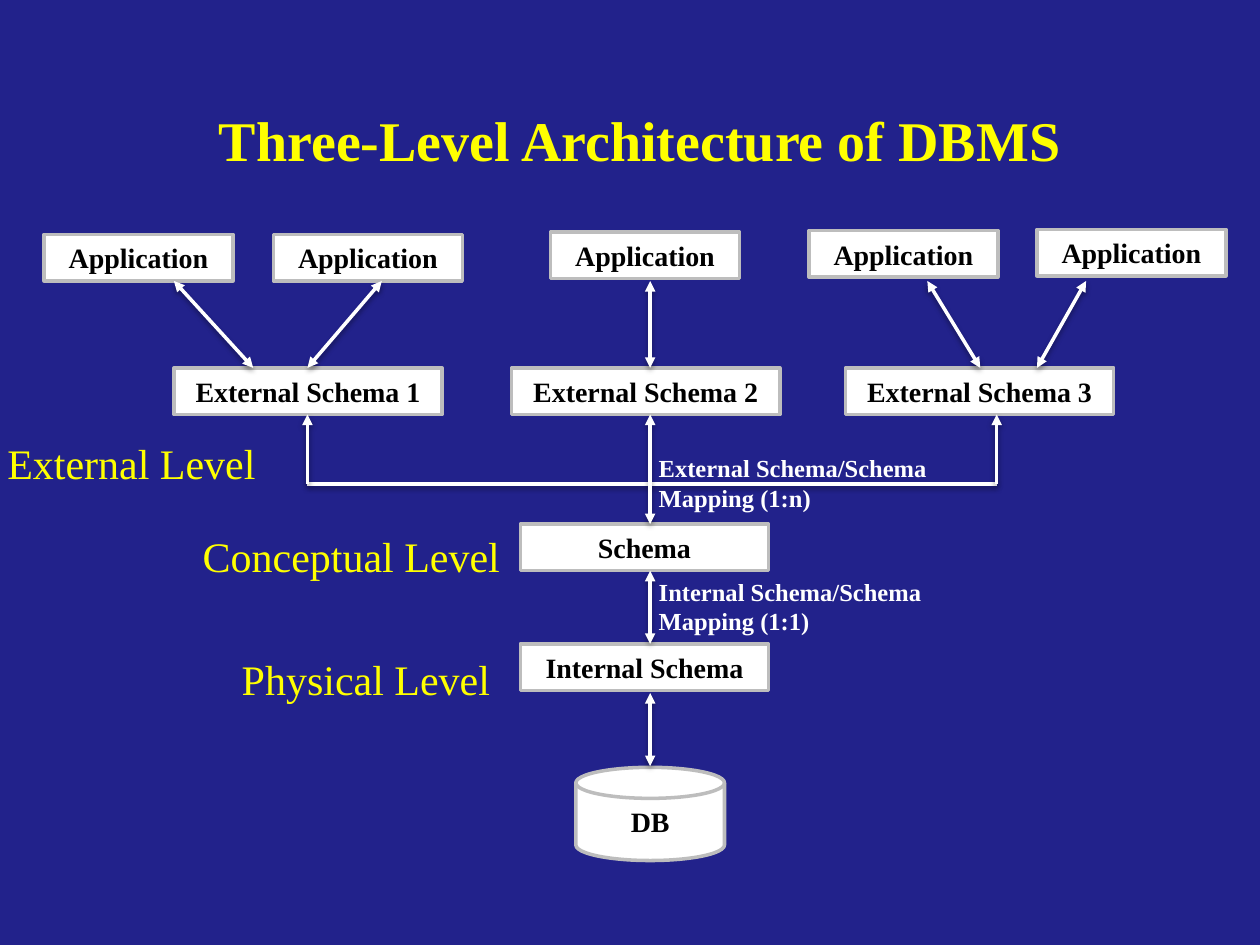
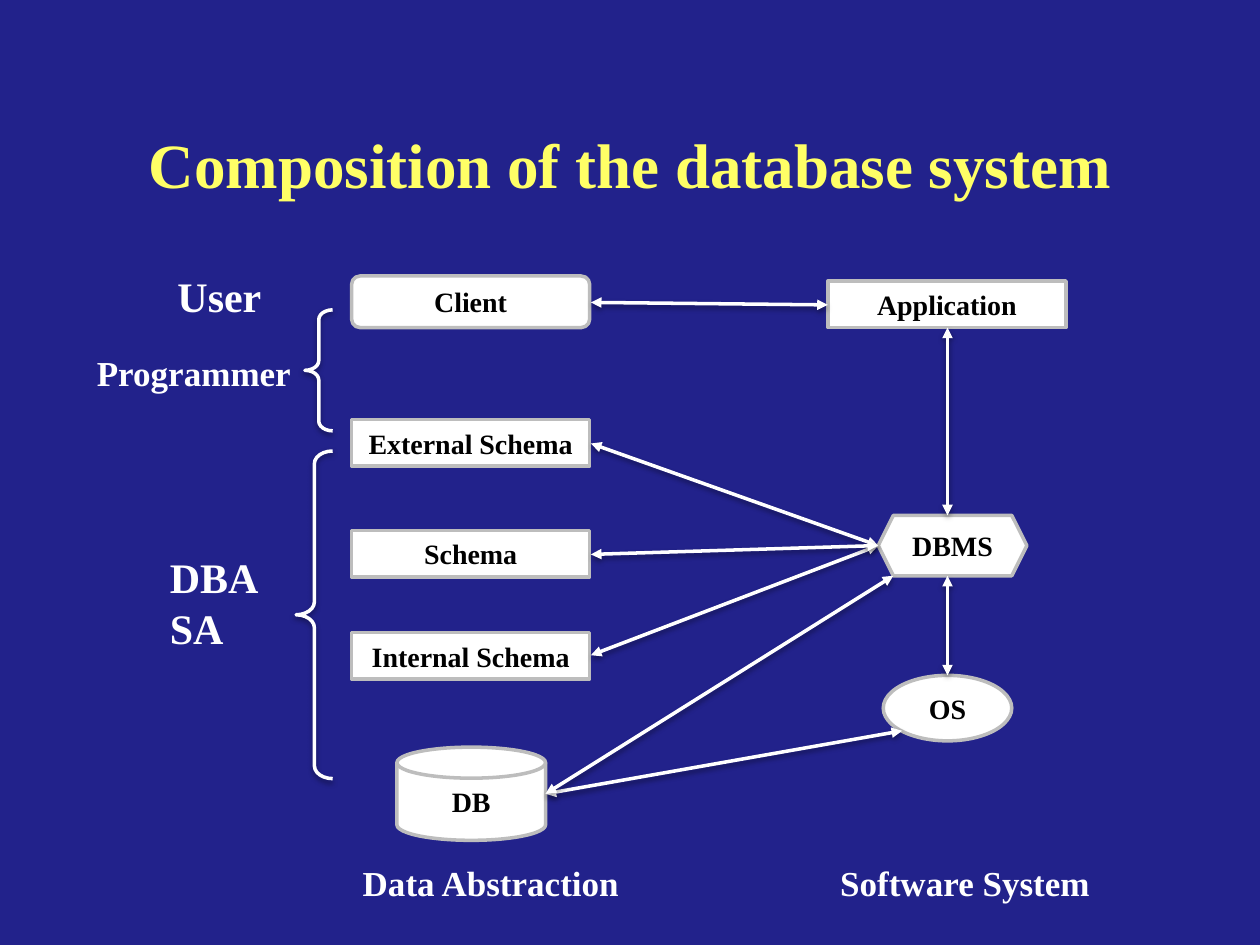
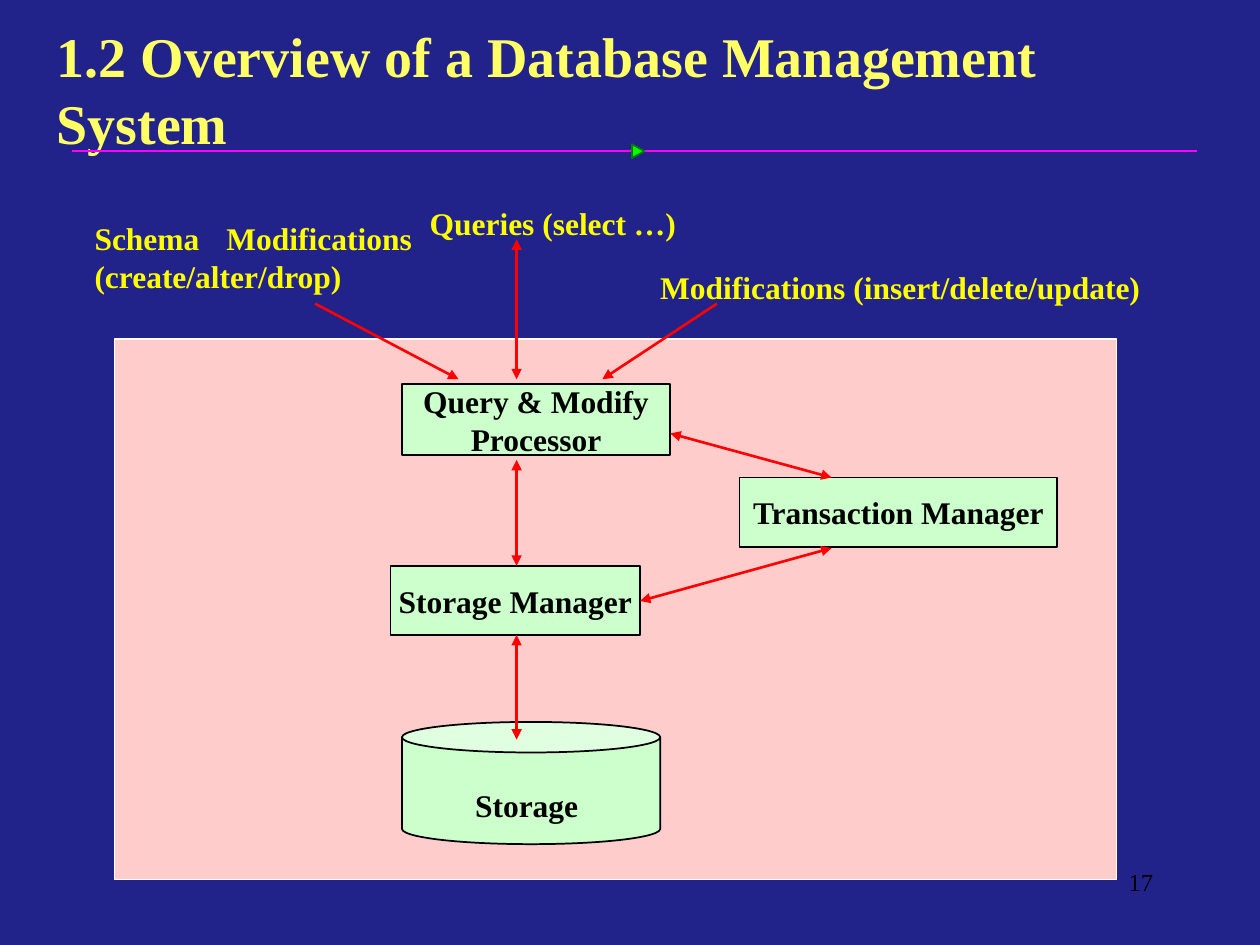
from dataclasses import dataclass, replace
from typing import Optional

from lxml.etree import SubElement
from pptx import Presentation
from pptx.dml.color import RGBColor
from pptx.enum.shapes import MSO_CONNECTOR, MSO_SHAPE
from pptx.enum.text import MSO_ANCHOR, PP_ALIGN
from pptx.oxml.ns import qn
from pptx.util import Inches, Pt

# Grid of 100 columns by 75 rows; every length below is in cells
CELL = Inches(0.1)
COLUMNS, ROWS = 100, 75
FONT = "Times New Roman"
COLORS = {
    "background": "22228B", "white": "FFFFFF", "black": "000000",
    "yellow": "FFFF00", "pale yellow": "FFFF66", "grey": "BDBDBD",
    "pink": "FFCCCC", "mint": "CCFFCC", "red": "FF0000",
    "magenta": "FF01FF", "green": "00FF00", "dark green": "037C03",
}


@dataclass(frozen=True)
class TextStyle:
    size: float
    color: str
    bold: bool = True
    align: PP_ALIGN = PP_ALIGN.LEFT
    anchor: MSO_ANCHOR = MSO_ANCHOR.TOP
    wrap: bool = False
    inset: bool = True


@dataclass(frozen=True)
class BoxStyle:
    fill: Optional[str]
    line: Optional[str]
    line_width: float
    text: Optional[TextStyle] = None
    shadow: bool = False


@dataclass(frozen=True)
class LineStyle:
    color: str
    width: float
    shadow: bool = False


@dataclass(frozen=True)
class Area:
    left: float
    top: float
    width: float
    height: float


@dataclass(frozen=True)
class Box:
    text: str
    area: Area
    kind: MSO_SHAPE = MSO_SHAPE.RECTANGLE


@dataclass(frozen=True)
class Label:
    text: str
    area: Area
    style: TextStyle


@dataclass(frozen=True)
class Arrow:
    start: tuple[float, float]
    end: tuple[float, float]
    head: bool = True
    tail: bool = True


# Shared styles
TITLE = TextStyle(32, "pale yellow", align=PP_ALIGN.CENTER, anchor=MSO_ANCHOR.MIDDLE, wrap=True)
BOX_TEXT = TextStyle(16, "black", align=PP_ALIGN.CENTER, anchor=MSO_ANCHOR.MIDDLE, wrap=True)
LEVEL = TextStyle(24, "yellow", bold=False)
MAPPING = TextStyle(14, "white")
ROLE = TextStyle(24, "white")
CAPTION = TextStyle(20, "white")
COMMAND = TextStyle(18, "yellow", align=PP_ALIGN.JUSTIFY, wrap=True, inset=False)
PAGE_NUMBER = TextStyle(14, "black", bold=False, align=PP_ALIGN.RIGHT, wrap=True)

WHITE_BOX = BoxStyle("white", "grey", 2, BOX_TEXT)
BRACE = BoxStyle(None, "white", 2, shadow=True)
MINT_BOX = BoxStyle("mint", "black", 1, replace(BOX_TEXT, size=18, wrap=False))
WHITE_LINE = LineStyle("white", 2, shadow=True)
RED_LINE = LineStyle("red", 1.5)


def color(name: str) -> RGBColor:
    return RGBColor.from_string(COLORS[name])


def cells(*counts: float) -> list[int]:
    return [round(count * CELL) for count in counts]


def bounds(area: Area) -> list[int]:
    return cells(area.left, area.top, area.width, area.height)


def write(shape, text: str, style: TextStyle) -> None:
    text_frame = shape.text_frame
    text_frame.text = text
    text_frame.word_wrap = style.wrap
    text_frame.vertical_anchor = style.anchor
    if not style.inset:
        text_frame.margin_left = text_frame.margin_right = 0
        text_frame.margin_top = text_frame.margin_bottom = 0
    for paragraph in text_frame.paragraphs:
        paragraph.alignment = style.align
        for run in paragraph.runs:
            run.font.name = FONT
            run.font.size = Pt(style.size)
            run.font.bold = style.bold
            run.font.color.rgb = color(style.color)


def set_effects(shape, shadow: bool) -> None:
    """Give the shape a soft shadow below it, or no effect at all."""
    properties = shape.element.spPr
    for effects in properties.findall(qn("a:effectLst")):
        properties.remove(effects)
    effects = SubElement(properties, qn("a:effectLst"))
    if shadow:
        outer = SubElement(effects, qn("a:outerShdw"), blurRad=str(Pt(3.1)),
                           dist=str(Pt(1.6)), dir="5400000", rotWithShape="0")
        tint = SubElement(outer, qn("a:srgbClr"), val=COLORS["black"])
        SubElement(tint, qn("a:alpha"), val="38000")


def add_label(slide, label: Label) -> None:
    write(slide.shapes.add_textbox(*bounds(label.area)), label.text, label.style)


def add_box(slide, box: Box, style: BoxStyle):
    shape = slide.shapes.add_shape(box.kind, *bounds(box.area))
    if style.fill:
        shape.fill.solid()
        shape.fill.fore_color.rgb = color(style.fill)
    else:
        shape.fill.background()
    if style.line:
        shape.line.color.rgb = color(style.line)
        shape.line.width = Pt(style.line_width)
    else:
        shape.line.fill.background()
    set_effects(shape, style.shadow)
    if box.text and style.text:
        write(shape, box.text, style.text)
    return shape


def add_arrow(slide, arrow: Arrow, style: LineStyle) -> None:
    connector = slide.shapes.add_connector(
        MSO_CONNECTOR.STRAIGHT, *cells(*arrow.start, *arrow.end))
    connector.line.color.rgb = color(style.color)
    connector.line.width = Pt(style.width)
    outline = connector.element.spPr.find(qn("a:ln"))
    for tag, shown in (("a:headEnd", arrow.head), ("a:tailEnd", arrow.tail)):
        if shown:
            SubElement(outline, qn(tag), type="triangle")
    set_effects(connector, style.shadow)


def add_slide(presentation, title: str, area: Area, style: TextStyle):
    slide = presentation.slides.add_slide(presentation.slide_layouts[6])
    slide.background.fill.solid()
    slide.background.fill.fore_color.rgb = color("background")
    add_label(slide, Label(title, area, style))
    return slide


def draw(slide, boxes: list[Box], box_style: BoxStyle, arrows: list[Arrow],
         line_style: LineStyle, labels: list[Label]) -> None:
    for box in boxes:
        add_box(slide, box, box_style)
    for arrow in arrows:
        add_arrow(slide, arrow, line_style)
    for label in labels:
        add_label(slide, label)


def build_architecture(presentation) -> None:
    slide = add_slide(presentation, "Three-Level Architecture of DBMS",
                      Area(5.9, 4.8, 89.8, 12.5), replace(TITLE, color="yellow"))
    axis, box_height = 51.6, 3.7
    application_bottom, external_top, bus = 22.3, 29.2, 38.4
    external_bottom = external_top + box_height
    bus_left, bus_right = 24.4, 79.1

    boxes = [Box("DB", Area(45.7, 60.9, 11.8, 7.4), MSO_SHAPE.FLOWCHART_MAGNETIC_DISK)]
    boxes += [Box(text, Area(41.3, top, 19.7, box_height))
              for text, top in (("Internal Schema", 51.1), ("Schema", 41.6))]
    boxes += [Box(f"External Schema {number}", Area(left, external_top, 21.3, box_height))
              for number, left in enumerate((13.8, 40.6, 67.1), start=1)]
    boxes += [Box("Application", Area(left, top, 15, box_height))
              for left, top in ((3.5, 18.6), (21.7, 18.6), (43.7, 18.4), (64.2, 18.3), (82.3, 18.2))]

    # Bus joining the external schemas, then the central axis
    arrows = [Arrow((bus_left, bus), (bus_right, bus), head=False, tail=False)]
    arrows += [Arrow((x, bus), (x, external_bottom), head=False) for x in (bus_left, bus_right)]
    arrows += [Arrow((axis, top), (axis, bottom))
               for top, bottom in ((external_bottom, 41.6), (45.3, 51.1), (55, 60.8))]
    # Applications to their external schemas
    arrows += [Arrow((start, application_bottom), (end, external_top))
               for start, end in ((13.8, 20.1), (30.3, 24.4), (axis, axis), (73.6, 77.8), (86.2, 82.3))]

    labels = [
        Label("External Schema/Schema\nMapping (1:n)", Area(51.3, 35.5, 23.4, 5.7), MAPPING),
        Label("Internal Schema/Schema\nMapping (1:1)", Area(51.3, 45.3, 23, 5.7), MAPPING),
        Label("Conceptual Level", Area(15.1, 41.6, 25.8, 5), LEVEL),
        Label("Physical Level", Area(18.2, 51.4, 21.9, 5), LEVEL),
        Label("External Level", Area(-0.4, 34.2, 21.9, 5), LEVEL),
    ]
    draw(slide, boxes, WHITE_BOX, arrows, WHITE_LINE, labels)


def build_composition(presentation) -> None:
    slide = add_slide(presentation, "Composition of the database system",
                      Area(7.5, 6.7, 85, 12.5), replace(TITLE, size=36))
    left, width, height = 27.9, 18.9, 3.7
    right = left + width + 0.1
    axis = 75.2
    database, manager = (43.3, 63), (69.7, 43.3)
    process = MSO_SHAPE.FLOWCHART_PROCESS

    boxes = [Box("Client", Area(left, 21.9, width, 4.1), MSO_SHAPE.FLOWCHART_ALTERNATE_PROCESS)]
    boxes += [Box(text, Area(left, top, width, height), process)
              for text, top in (("External Schema", 33.3), ("Schema", 42.1), ("Internal Schema", 50.2))]
    boxes += [
        Box("DB", Area(31.5, 59.3, 11.8, 7.4), MSO_SHAPE.FLOWCHART_MAGNETIC_DISK),
        Box("Application", Area(65.7, 22.3, width, height), process),
        Box("DBMS", Area(69.7, 40.9, 11.8, 4.8), MSO_SHAPE.HEXAGON),
        Box("OS", Area(70.1, 53.6, 10.2, 5.2), MSO_SHAPE.OVAL),
    ]

    arrows = [Arrow((right, 24), (65.7, 24.2))]
    arrows += [Arrow((axis, top), (axis, bottom)) for top, bottom in ((26, 40.9), (45.7, 53.6))]
    arrows += [Arrow((71.6, 58), database)]
    arrows += [Arrow((right, y), manager) for y in (52, 35.2, 44)]
    arrows += [Arrow(database, (70.9, 45.7))]

    labels = [
        Label("User", Area(13.1, 21, 8.8, 5), ROLE),
        Label("Programmer", Area(6.7, 27.4, 17.5, 4.4), CAPTION),
        Label("DBA\nSA", Area(12.5, 43.3, 9.1, 9.1), ROLE),
        Label("Data Abstraction", Area(27.8, 67.9, 22.5, 4.4), CAPTION),
        Label("Software System", Area(65.7, 67.9, 22, 4.4), CAPTION),
    ]
    draw(slide, boxes, WHITE_BOX, arrows, WHITE_LINE, labels)

    # Braces from each role to its part of the system
    for area in (Area(23.5, 35.8, 2.9, 26), Area(24.2, 24.6, 2.2, 9.6)):
        brace = add_box(slide, Box("", area, MSO_SHAPE.LEFT_BRACE), BRACE)
        brace.adjustments[0] = 0.35


def build_overview(presentation) -> None:
    slide = add_slide(presentation, "1.2 Overview of a Database Management System",
                      Area(3.5, 3.3, 93, 7.5), replace(TITLE, align=PP_ALIGN.LEFT))
    # Divider under the title, with its marker
    add_arrow(slide, Arrow((5.7, 12), (95, 12), head=False, tail=False), LineStyle("magenta", 1))
    marker = add_box(slide, Box("", Area(50.1, 11.5, 1.1, 1), MSO_SHAPE.ISOSCELES_TRIANGLE),
                     BoxStyle("green", "dark green", 1))
    marker.rotation = 90

    # Panel and the storage can behind its label
    add_box(slide, Box("", Area(9.1, 26.9, 79.5, 42.9)), BoxStyle("pink", "white", 0.75))
    add_box(slide, Box("", Area(31.9, 57.3, 20.5, 9.7), MSO_SHAPE.CAN), MINT_BOX)
    add_box(slide, Box("Storage", Area(35.1, 61.9, 13.4, 3.9)), replace(MINT_BOX, line=None))

    axis, processor_top = 41, 30.1
    boxes = [
        Box("Query & Modify\nProcessor", Area(31.9, 30.5, 21.3, 5.6)),
        Box("Storage Manager", Area(31, 44.9, 19.8, 5.5)),
        Box("Transaction Manager", Area(58.7, 37.9, 25.2, 5.5)),
    ]
    arrows = [Arrow((start, 24.1), (end, processor_top), head=False)
              for start, end in ((25, 36.4), (56.9, 47.8))]
    arrows += [Arrow((axis, top), (axis, bottom))
               for top, bottom in ((19, processor_top), (36.5, 44.9), (50.4, 58.7))]
    arrows += [Arrow((53.2, 34.4), (66, 37.9)), Arrow((66, 43.5), (50.8, 47.7))]
    labels = [
        Label("Schema Modifications (create/alter/drop)", Area(7.5, 17.4, 25.2, 5.1), COMMAND),
        Label("Queries (select …)", Area(34.1, 16.2, 22.8, 2.3), COMMAND),
        Label("Modifications (insert/delete/update)", Area(52.4, 21.3, 43.3, 2.8), COMMAND),
        Label("17", Area(71.7, 68.3, 20.8, 5), PAGE_NUMBER),
    ]
    draw(slide, boxes, MINT_BOX, arrows, RED_LINE, labels)


def main() -> None:
    presentation = Presentation()
    presentation.slide_width, presentation.slide_height = cells(COLUMNS, ROWS)
    build_architecture(presentation)
    build_composition(presentation)
    build_overview(presentation)
    presentation.save("out.pptx")


main()
